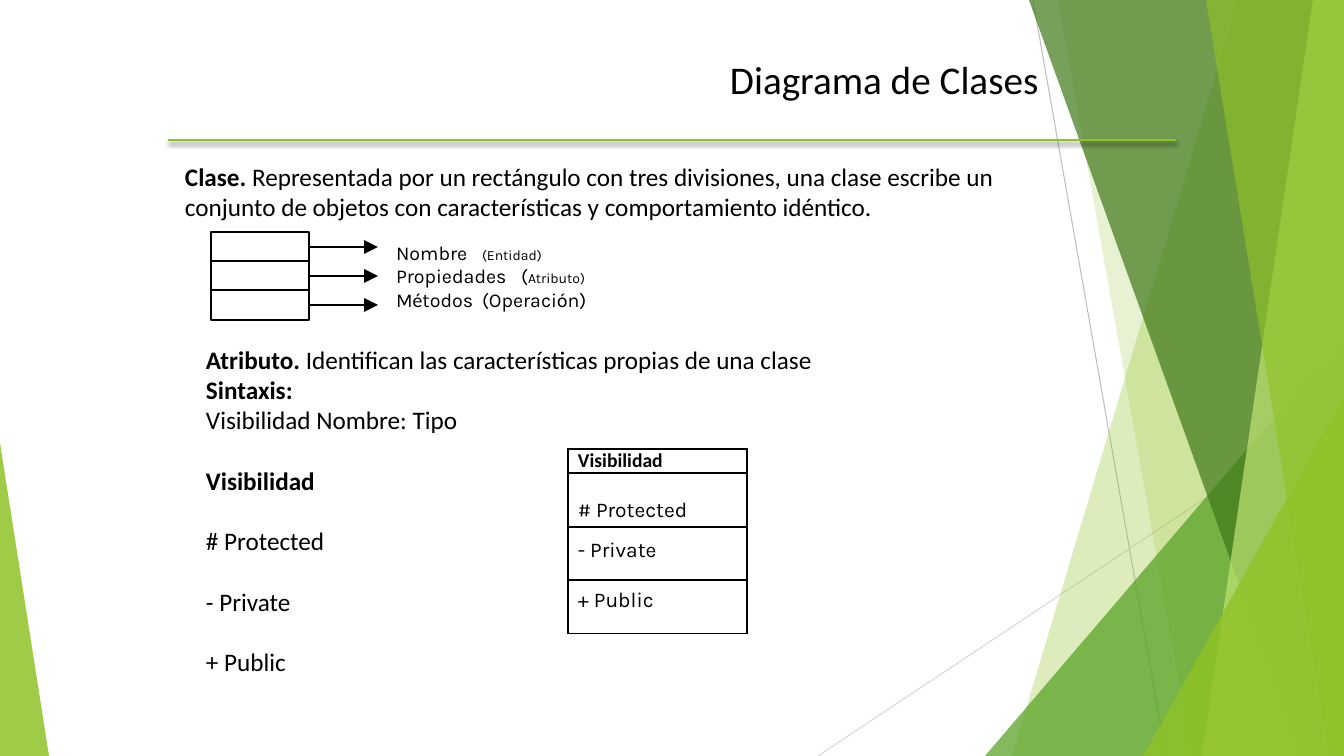
from lxml import etree
from pptx import Presentation
from pptx.dml.color import RGBColor
from pptx.enum.shapes import MSO_CONNECTOR as Connector, MSO_SHAPE as Preset
from pptx.enum.text import MSO_ANCHOR as Anchor
from pptx.oxml import parse_xml
from pptx.oxml.ns import nsdecls, qn
from pptx.util import Emu, Pt

PX = 914400 / 100.8
GREEN, BLACK, WHITE = "90C226", "000000", "FFFFFF"
BOLD = {"bold": True}


def paint(fill, color, opacity=100):
    fill.solid()
    fill.fore_color.rgb = RGBColor.from_string(color)
    if opacity < 100:
        srgb = fill._xPr.find(".//" + qn("a:srgbClr"))
        etree.SubElement(srgb, qn("a:alpha"), val=str(opacity * 1000))


def write(frame, paragraphs, size=18, font="Calibri", anchor=Anchor.TOP,
          leading=None, gaps=(), tabs=(), margins=(10, 5)):
    """Each paragraph is a list of (text, overrides) runs; gaps lists paragraphs set one line lower."""
    frame.word_wrap = True
    frame.vertical_anchor = anchor
    frame.margin_left = frame.margin_right = Emu(round(margins[0] * PX))
    frame.margin_top = frame.margin_bottom = Emu(round(margins[1] * PX))
    for index, runs in enumerate(paragraphs):
        paragraph = frame.paragraphs[0] if index == 0 else frame.add_paragraph()
        if leading:
            paragraph.line_spacing = Pt(leading)
        if index in gaps:
            paragraph.space_before = Pt(leading)
        if tabs:
            tab_list = etree.SubElement(paragraph._p.get_or_add_pPr(), qn("a:tabLst"))
            for stop in tabs:
                etree.SubElement(tab_list, qn("a:tab"), pos=str(round(stop * PX)), algn="l")
        for text, overrides in runs:
            run = paragraph.add_run()
            run.text = text
            run.font.size = Pt(overrides.get("size", size))
            run.font.name = overrides.get("font", font)
            run.font.bold = overrides.get("bold", False)
            paint(run.font.fill, BLACK)


presentation = Presentation()
presentation.slide_width = Emu(round(1344 * PX))
presentation.slide_height = Emu(round(756 * PX))
slide = presentation.slides.add_slide(presentation.slide_layouts[6])
shapes = slide.shapes

# Thin lines behind the facets
for x1, y1, x2, y2, color in [(1033, 0, 1166, 756, "BFBFBF"), (1344, 406, 818, 756, "D9D9D9")]:
    ray = shapes.add_connector(Connector.STRAIGHT, *(Emu(round(v * PX)) for v in (x1, y1, x2, y2)))
    paint(ray.line.fill, color)
    ray.line.width = Pt(0.75)

# Green facets, triangles starting from their apex
facets = [
    ([(1238, 0), (1344, 0), (1344, 756), (1012, 756)], GREEN, 30),
    ([(1058, 0), (1344, 0), (1344, 756), (1192, 756)], GREEN, 20),
    ([(1344, 336), (1344, 756), (985, 756)], "54A021", 72),
    ([(1029, 0), (1344, 0), (1344, 756), (1301, 756)], "3F7819", 70),
    ([(1313, 0), (1344, 0), (1344, 756), (1202, 756)], "C0E474", 70),
    ([(1206, 0), (1344, 0), (1344, 756), (1329, 756)], GREEN, 65),
    ([(1344, 396), (1344, 756), (1143, 756)], GREEN, 80),
    ([(0, 443), (0, 756), (49, 756)], GREEN, 85),
]
for points, color, opacity in facets:
    if len(points) == 3:
        apex, top = points[0]
        left, right = min(x for x, y in points), max(x for x, y in points)
        box = (left, top, right - left, 756 - top)
        facet = shapes.add_shape(Preset.ISOSCELES_TRIANGLE, *(Emu(round(v * PX)) for v in box))
        facet.adjustments[0] = (apex - left) / (right - left)
    else:
        builder = shapes.build_freeform(*points[0], scale=PX)
        builder.add_line_segments(points[1:], close=True)
        facet = builder.convert_to_shape()
    paint(facet.fill, color, opacity)
    facet.line.fill.background()

# Title rule with its soft shadow
rule = shapes.add_connector(Connector.STRAIGHT, *(Emu(round(v * PX)) for v in (168, 140, 1176, 140)))
paint(rule.line.fill, GREEN)
rule.line.width = Pt(2)
rule._element.spPr.append(parse_xml(
    f'<a:effectLst {nsdecls("a")}><a:outerShdw blurRad="38100" dist="25400" dir="5400000">'
    '<a:srgbClr val="000000"><a:alpha val="35000"/></a:srgbClr></a:outerShdw></a:effectLst>'))

# Class symbol: three stacked boxes, each with an arrow
for row in range(3):
    top = 232 + 29 * row
    division = shapes.add_shape(Preset.RECTANGLE, *(Emu(round(v * PX)) for v in (211, top, 98, 30)))
    paint(division.fill, WHITE)
    paint(division.line.fill, BLACK)
    division.line.width = Pt(1)
    arrow = shapes.add_connector(
        Connector.STRAIGHT, *(Emu(round(v * PX)) for v in (309, top + 15, 378, top + 15)))
    arrow.begin_connect(division, 3)
    paint(arrow.line.fill, BLACK)
    arrow.line.width = Pt(1)
    etree.SubElement(arrow.line._ln, qn("a:tailEnd"), type="triangle", w="lg", len="lg")

# Text blocks
small, accent = {"size": 10}, {"font": "Calibri"}
text_blocks = [
    ((720, 50, 381, 58), [[("Diagrama de Clases", {})]], {"size": 28, "anchor": Anchor.MIDDLE}),
    ((175, 156, 988, 132), [
        [("Clase.", BOLD),
         (" Representada por un rectángulo con tres divisiones, una clase escribe un", {})],
        [("conjunto de objetos con características y comportamiento idéntico.", {})],
    ], {}),
    ((386, 235, 588, 82), [
        [("Nombre\t", {}), ("(Entidad)", small)],
        [("Propiedades\t(", {}), ("Atributo)", small)],
        [("M", {}), ("é", accent), ("todos\t(Operaci", {}), ("ó", accent), ("n)", {})],
    ], {"size": 14, "font": "Karla", "anchor": Anchor.MIDDLE, "tabs": (86, 125)}),
    ((196, 339, 928, 377), [
        [("Atributo.", BOLD), (" Identifican las características propias de una clase", {})],
        [("Sintaxis:", BOLD)],
        [("Visibilidad Nombre: Tipo", {})],
        [("Visibilidad", BOLD)],
        [("# Protected", {})],
        [("- Private", {})],
        [("+ Public", {})],
    ], {"leading": 21.6, "gaps": range(3, 7)}),
]
for box, paragraphs, text_format in text_blocks:
    textbox = shapes.add_textbox(*(Emu(round(v * PX)) for v in box))
    write(textbox.text_frame, paragraphs, **text_format)

# Visibility table: text, row height, space above the text
visibility_rows = [("Visibilidad", 24, 0), ("# Protected", 54, 25), ("- Private", 53, 11), ("+ Public", 54, 8)]
table = shapes.add_table(
    len(visibility_rows), 1, *(Emu(round(v * PX)) for v in (568, 449, 179, 185))).table
table.first_row = table.horz_banding = False
for index, (text, height, space_above) in enumerate(visibility_rows):
    table.rows[index].height = Emu(round(height * PX))
    cell = table.cell(index, 0)
    header = index == 0
    write(cell.text_frame, [[(text, {"bold": header})]],
          size=14 if header else 15, font="Calibri" if header else "Karla")
    cell.margin_left, cell.margin_right = Emu(round(10 * PX)), 0
    cell.margin_top, cell.margin_bottom = Emu(round(space_above * PX)), 0
    cell.vertical_anchor = Anchor.TOP
    cell.fill.background()
    for position, side in enumerate("LRTB"):
        cell._tc.tcPr.insert(position, parse_xml(
            f'<a:ln{side} {nsdecls("a")} w="12700"><a:solidFill><a:srgbClr val="{BLACK}"/>'
            f'</a:solidFill></a:ln{side}>'))

# No theme shadows, except for the title rule
for shape in shapes:
    if not shape.has_table:
        properties = shape._element.spPr
        if properties.find(qn("a:effectLst")) is None:
            etree.SubElement(properties, qn("a:effectLst"))

presentation.save("out.pptx")
